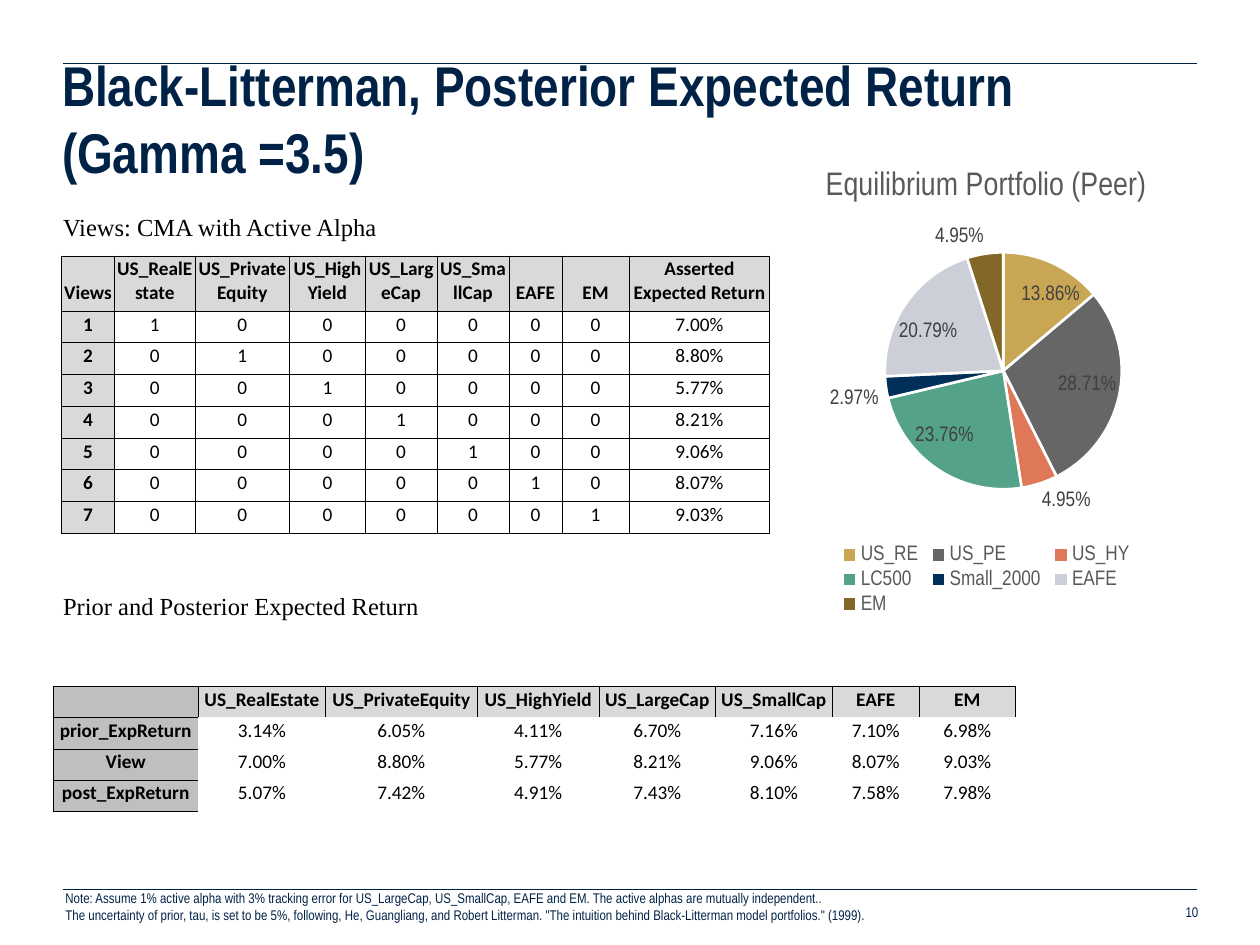
from dataclasses import dataclass
from typing import Any

from lxml import etree
from pptx import Presentation
from pptx import util as u
from pptx.chart.data import CategoryChartData
from pptx.dml.color import RGBColor
from pptx.enum import chart as charts, shapes, text
from pptx.oxml import parse_xml
from pptx.oxml.ns import nsdecls, qn

ALIGN = text.PP_ALIGN
ANCHOR = text.MSO_ANCHOR


def color(value):
    return RGBColor.from_string(value)


def cm_box(*lengths):
    return [u.Cm(length) for length in lengths]


@dataclass
class SlideWriter:
    slide: Any
    navy: str = "002247"
    black: str = "000000"
    sans: str = "Arial Narrow"
    serif: str = "Times New Roman"
    grid_font: str = "Calibri"

    def font(self, font, name, size, shade, bold=False):
        font.name, font.size, font.bold = name, u.Pt(size), bold
        font.color.rgb = color(shade)

    def place(self, shape, left, top, width, height):
        shape.left, shape.top, shape.width, shape.height = cm_box(left, top, width, height)

    def frame(self, shape, left=0.25, right=0.25, anchor=ANCHOR.TOP):
        frame = shape.text_frame
        frame.word_wrap = True
        frame.auto_size = text.MSO_AUTO_SIZE.NONE
        frame.vertical_anchor = anchor
        frame.margin_left, frame.margin_right = cm_box(left, right)
        frame.margin_top = frame.margin_bottom = u.Cm(0.13)
        return frame

    def rule(self, top):
        line = self.slide.shapes.add_connector(
            shapes.MSO_CONNECTOR.STRAIGHT, *cm_box(1.27, top, 24.13, top))
        line.line.color.rgb = color(self.navy)
        line.line.width = u.Pt(0.5)
        etree.SubElement(line._element.spPr, qn("a:effectLst"))

    def title(self, words, *place):
        shape = self.slide.shapes.title
        self.place(shape, *place)
        frame = self.frame(shape, left=0, anchor=ANCHOR.MIDDLE)
        frame.text = words
        para = frame.paragraphs[0]
        para.alignment = ALIGN.LEFT
        self.font(para.font, self.sans, 32, self.navy, True)

    def body(self, headings, *place):
        """Fill the body placeholder with (words, space before) pairs."""
        shape = self.slide.placeholders[1]
        self.place(shape, *place)
        frame = self.frame(shape, left=0)
        frame.text = "\n".join(words for words, _ in headings)
        for para, (_, space) in zip(frame.paragraphs, headings):
            para.space_before = u.Pt(space)
            self.font(para.font, self.serif, 14, self.black)
            props = para._p.get_or_add_pPr()
            props.set("marL", "0")
            props.set("indent", "0")
            props.insert_element_before(
                parse_xml(f"<a:buNone {nsdecls('a')}/>"), "a:tabLst", "a:defRPr", "a:extLst")

    def small_text(self, words, place, align, anchor=ANCHOR.TOP, right=0.25):
        box = self.slide.shapes.add_textbox(*cm_box(*place))
        frame = self.frame(box, right=right, anchor=anchor)
        frame.text = words
        for para in frame.paragraphs:
            para.alignment = align
            self.font(para.font, self.sans, 8, self.navy)

    def border(self, cell):
        props = cell._tc.get_or_add_tcPr()
        for side in ("lnL", "lnR", "lnT", "lnB"):
            props.append(parse_xml(
                f'<a:{side} {nsdecls("a")} w="6350"><a:solidFill>'
                f'<a:srgbClr val="{self.black}"/></a:solidFill></a:{side}>'))

    def table(self, rows, left, top, widths, heights, side_fill, corner_fill, all_borders):
        table = self.slide.shapes.add_table(
            len(rows), len(widths), *cm_box(left, top, sum(widths), sum(heights))).table
        table.first_row = table.horz_banding = False
        for column, width in zip(table.columns, widths):
            column.width = u.Cm(width)
        for row, height in zip(table.rows, heights):
            row.height = u.Cm(height)
        for r, values in enumerate(rows):
            for c, value in enumerate(values):
                cell = table.cell(r, c)
                heading = r == 0 or c == 0
                cell.text = value
                cell.vertical_anchor = ANCHOR.BOTTOM
                cell.margin_left = cell.margin_right = cell.margin_top = u.Cm(0.02)
                cell.margin_bottom = u.Cm(0.13)
                para = cell.text_frame.paragraphs[0]
                para.alignment = ALIGN.CENTER
                self.font(para.font, self.grid_font, 11, self.black, heading)
                if heading or all_borders:
                    self.border(cell)
                if heading:
                    fill = corner_fill if r == c == 0 else side_fill if c == 0 else "D9D9D9"
                    cell.fill.solid()
                    cell.fill.fore_color.rgb = color(fill)
                else:
                    cell.fill.background()

    def pie(self, heading, slices, place, plot_area):
        """Draw a pie of (category, value, colour) slices."""
        data = CategoryChartData(number_format="0.00%")
        data.categories = [name for name, _, _ in slices]
        data.add_series("Series 1", [value for _, value, _ in slices])
        chart = self.slide.shapes.add_chart(
            charts.XL_CHART_TYPE.PIE, *cm_box(*place), data).chart
        self.font(chart.font, self.sans, 10, self.black)
        chart.has_title = True
        chart.chart_title.text_frame.text = heading
        self.font(chart.chart_title.text_frame.paragraphs[0].runs[0].font,
                  self.sans, 18.6, "595959")

        chart.has_legend = True
        chart.legend.position = charts.XL_LEGEND_POSITION.BOTTOM
        chart.legend.include_in_layout = False
        self.font(chart.legend.font, self.sans, 12, "595959")

        plot = chart.plots[0]
        plot.vary_by_categories = True
        for index, (_, _, shade) in enumerate(slices):
            look = plot.series[0].points[index].format
            look.fill.solid()
            look.fill.fore_color.rgb = color(shade)
            look.line.color.rgb = color("FFFFFF")
            look.line.width = u.Pt(1.5)
        plot.has_data_labels = True
        labels = plot.data_labels
        labels.show_value, labels.show_percentage = True, False
        labels.number_format, labels.number_format_is_linked = "0.00%", False
        labels.position = charts.XL_LABEL_POSITION.BEST_FIT
        self.font(labels.font, self.sans, 12, "404040")

        # Fixed inner plot area, as fractions of the chart
        area = chart._chartSpace.chart.plotArea
        for old in area.findall(qn("c:layout")):
            area.remove(old)
        sizes = "".join(f'<c:{key} val="{value}"/>' for key, value in zip("xywh", plot_area))
        area.insert(0, parse_xml(
            f'<c:layout {nsdecls("c")}><c:manualLayout><c:layoutTarget val="inner"/>'
            f'<c:xMode val="edge"/><c:yMode val="edge"/>{sizes}</c:manualLayout></c:layout>'))


def main():
    deck = Presentation()
    deck.slide_width, deck.slide_height = cm_box(25.4, 19.05)
    page = SlideWriter(deck.slides.add_slide(deck.slide_layouts[1]))

    # Rules, title and section headings
    page.rule(1.27)
    page.rule(17.93)
    page.title("Black-Litterman, Posterior Expected Return (Gamma =3.5)",
               1.25, 1.32, 22.88, 2.11)
    page.body([("Views: CMA with Active Alpha", 3),
               ("Prior and Posterior Expected Return", 200)], 1.27, 4.14, 22.86, 13.51)

    # Page number and footnote
    page.small_text("10", (18.16, 18.03, 6, 0.69), ALIGN.RIGHT, ANCHOR.MIDDLE, right=0)
    page.small_text(
        "Note: Assume 1% active alpha with 3% tracking error for US_LargeCap, US_SmallCap, "
        "EAFE and EM. The active alphas are mutually independent..\n"
        "The uncertainty of prior, tau, is set to be 5%, following, He, Guangliang, and Robert "
        'Litterman. "The intuition behind Black-Litterman model portfolios." (1999).',
        (1.07, 17.81, 23.06, 1.17), ALIGN.JUSTIFY)

    # Equilibrium portfolio
    page.pie("Equilibrium Portfolio (Peer)", [
        ("US_RE", 0.1386, "C9A653"), ("US_PE", 0.2871, "666666"),
        ("US_HY", 0.0495, "DF7759"), ("LC500", 0.2376, "54A289"),
        ("Small_2000", 0.0297, "002F59"), ("EAFE", 0.2079, "CDCFD8"),
        ("EM", 0.0495, "826729"),
    ], (15.62, 2.95, 8.53, 9.53), (0.26, 0.22, 0.56, 0.51))

    # Views: each one concerns a single asset
    assets = ["US_RealEstate", "US_PrivateEquity", "US_HighYield", "US_LargeCap",
              "US_SmallCap", "EAFE", "EM"]
    views = ["7.00%", "8.80%", "5.77%", "8.21%", "9.06%", "8.07%", "9.03%"]
    view_rows = [[str(i + 1), *(str(int(i == j)) for j in range(len(assets))), view]
                 for i, view in enumerate(views)]
    page.table([["Views", *assets, "Asserted Expected Return"], *view_rows], 1.24, 5.16,
               [1.07, 1.62, 1.91, 1.52, 1.45, 1.45, 1.07, 1.35, 2.84],
               [1.09] + [0.64] * len(views), "D9D9D9", "D9D9D9", True)

    # Prior and posterior returns
    prior = ["3.14%", "6.05%", "4.11%", "6.70%", "7.16%", "7.10%", "6.98%"]
    posterior = ["5.07%", "7.42%", "4.91%", "7.43%", "8.10%", "7.58%", "7.98%"]
    page.table([["", *assets], ["prior_ExpReturn", *prior], ["View", *views],
                ["post_ExpReturn", *posterior]], 1.07, 13.84,
               [2.93, 2.56, 3.06, 2.46, 2.34, 2.36, 1.75, 1.94],
               [0.62] * 4, "BFBFBF", "BFBFBF", False)

    deck.save("out.pptx")


if __name__ == "__main__":
    main()
